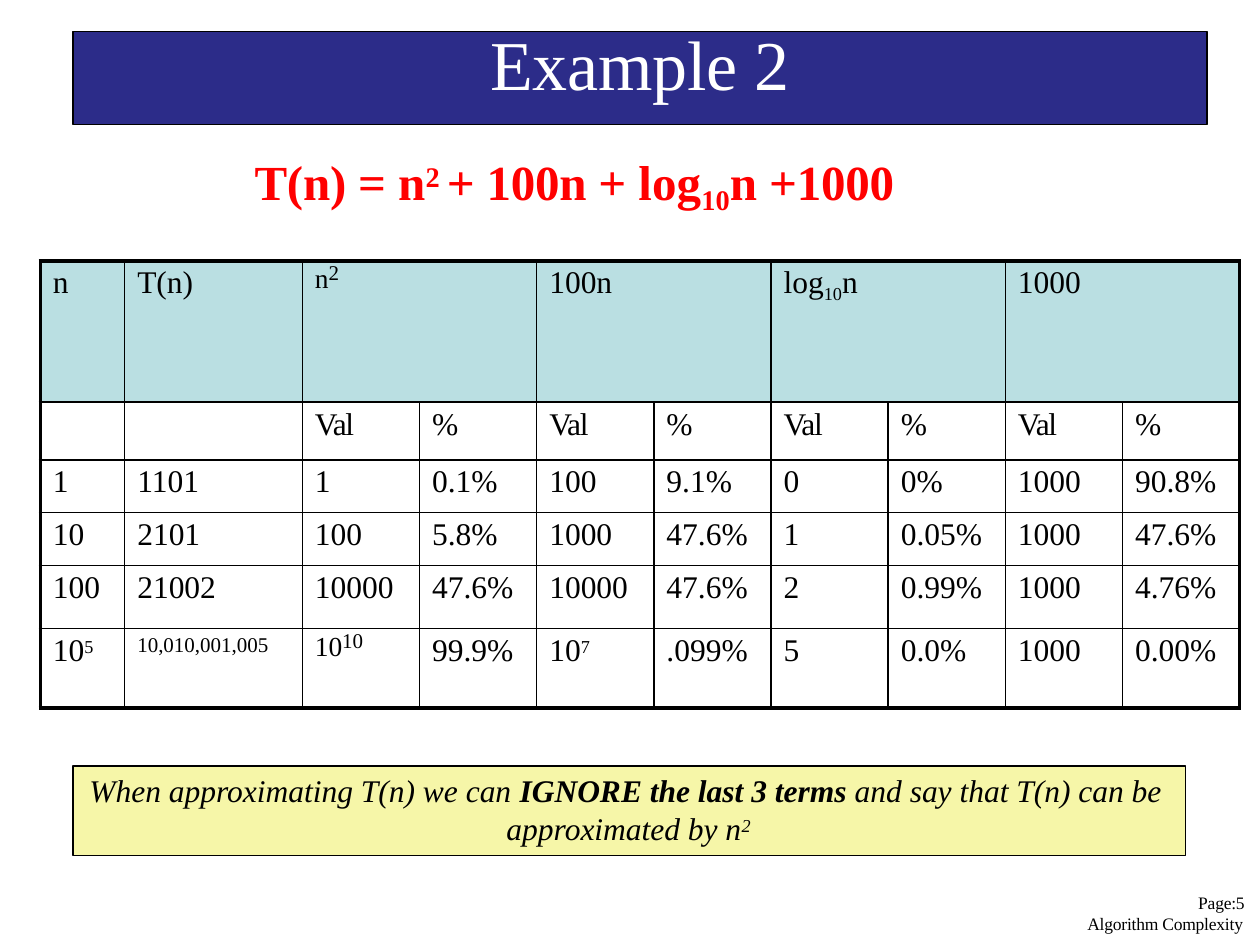
"""Build the slide that compares the growth of the terms of T(n)."""
from lxml import etree
from pptx import Presentation
from pptx.dml.color import RGBColor
from pptx.enum.shapes import MSO_SHAPE
from pptx.enum.text import MSO_ANCHOR, PP_ALIGN
from pptx.oxml.ns import qn
from pptx.util import Inches, Pt

RECTANGLE = MSO_SHAPE.RECTANGLE
TOP = MSO_ANCHOR.TOP
CENTER = PP_ALIGN.CENTER
FONT = "Times New Roman"
COLORS = {
    "black": "000000",
    "white": "FFFFFF",
    "navy": "2C2C89",
    "red": "FF0000",
    "aqua": "BADFE2",
    "yellow": "F6F6A8",
}
WIDTH, HEIGHT = Inches(10), Inches(7.5)
PERCENT_PLACES = {
    "title": (5.8, 3.33, 90, 9.87),
    "formula": (19.8, 15.87, 52.9, 6.53),
    "table": (3.2, 27.6, 95.2, 47.33),
    "conclusion": (5.8, 81.07, 88.3, 9.47),
    "footer": (86.2, 94.4, 13.2, 4.67),
}
PLACES = {
    name: [round(side * share / 100) for side, share in zip((WIDTH, HEIGHT) * 2, shares)]
    for name, shares in PERCENT_PLACES.items()
}


def write_runs(paragraph, runs, size=18, color="black", bold=False, italic=False):
    """Add (text, overrides) runs; overrides may hold size, bold, baseline, spacing."""
    for text, overrides in runs:
        run = paragraph.add_run()
        run.text = text
        run.font.name = FONT
        run.font.size = Pt(overrides.get("size", size))
        run.font.bold = overrides.get("bold", bold)
        run.font.italic = italic
        run.font.color.rgb = RGBColor.from_string(COLORS[color])
        properties = run.font._element
        if "baseline" in overrides:
            properties.set("baseline", str(overrides["baseline"] * 1000))
        if "spacing" in overrides:
            properties.set("spc", str(round(overrides["spacing"] * 100)))


def prepare_frame(shape, top_inset=0, margin=0, indent=0):
    """Reset the insets and return the first paragraph with its indents."""
    frame = shape.text_frame
    frame.word_wrap = True
    frame.vertical_anchor = TOP
    frame.margin_left = frame.margin_right = frame.margin_bottom = 0
    frame.margin_top = Inches(top_inset)
    properties = frame.paragraphs[0]._p.get_or_add_pPr()
    properties.set("marL", str(Inches(margin)))
    properties.set("indent", str(Inches(indent)))
    return frame.paragraphs[0]


presentation = Presentation()
presentation.slide_width, presentation.slide_height = WIDTH, HEIGHT
slide = presentation.slides.add_slide(presentation.slide_layouts[5])

footer = slide.shapes.add_textbox(*PLACES["footer"])
paragraph = prepare_frame(footer, margin=0.01, indent=0.88)
paragraph.line_spacing = Pt(12)
write_runs(paragraph, [("Page:5 Algorithm Complexity", {"spacing": -0.1})], size=10)

title = slide.shapes.title
title.left, title.top, title.width, title.height = PLACES["title"]
paragraph = prepare_frame(title)
paragraph.alignment = CENTER
paragraph.line_spacing = Pt(42)
write_runs(paragraph, [("Example 2", {"spacing": -0.1})], size=40, color="white")

formula = slide.shapes.add_textbox(*PLACES["formula"])
formula_runs = [
    ("T(n) = ", {"spacing": -0.1}),
    ("n", {"spacing": 0.1}),
    ("2 ", {"baseline": 26}),
    ("+ 100n + ", {"spacing": -0.1}),
    ("log", {"spacing": 0.1}),
    ("10", {"baseline": -21}),
    ("n ", {}),
    ("+1000", {"spacing": -0.1}),
]
write_runs(prepare_frame(formula, 0.01, 0.04), formula_runs, size=28, color="red", bold=True)

conclusion = slide.shapes.add_shape(RECTANGLE, *PLACES["conclusion"])
conclusion_runs = [
    ("When approximating T(n) we can ", {}),
    ("IGNORE the last 3 terms ", {"bold": True}),
    ("and say that T(n) can be approximated by n", {}),
    ("2", {"baseline": 25}),
]
write_runs(prepare_frame(conclusion, 0.04, 3.44, -3.31), conclusion_runs, italic=True)

for shape, color in ((title, "navy"), (conclusion, "yellow")):
    shape.fill.solid()
    shape.fill.fore_color.rgb = RGBColor.from_string(COLORS[color])
    shape.line.color.rgb = RGBColor.from_string(COLORS["black"])
    shape.line.width = Pt(0.75)
conclusion.shadow.inherit = False
conclusion.text_frame.paragraphs[0].alignment = PP_ALIGN.LEFT

COLUMN_WIDTHS = [0.67, 1.41] + [0.93] * 8
ROW_HEIGHTS = [1.12, 0.46, 0.42, 0.42, 0.5, 0.63]
LAST_ROW, LAST_COLUMN = len(ROW_HEIGHTS) - 1, len(COLUMN_WIDTHS) - 1
LOWERED, RAISED = {"size": 27, "baseline": -17}, {"size": 12}
rows = [
    ["n", "T(n)", [("n", LOWERED), ("2", RAISED)], "", "100n", "",
     [("log", {}), ("10", {"baseline": -21}), ("n", {})], "", "1000", ""],
    ["", ""] + [[("Val", {"spacing": -0.8})], "%"] * 4,
    ["1", "1101", "1", "0.1%", "100", "9.1%", "0", "0%", "1000", "90.8%"],
    ["10", "2101", "100", "5.8%", "1000", "47.6%", "1", "0.05%", "1000", "47.6%"],
    ["100", "21002", "10000", "47.6%", "10000", "47.6%", "2", "0.99%", "1000", "4.76%"],
    [[("10", {}), ("5", {"baseline": 25})], [("10,010,001,005", {"size": 12})],
     [("10", LOWERED), ("10", RAISED)], "99.9%", [("10", {}), ("7", {"baseline": 25})],
     ".099%", "5", "0.0%", "1000", "0.00%"],
]

table = slide.shapes.add_table(len(rows), len(COLUMN_WIDTHS), *PLACES["table"]).table
table.first_row = table.horz_banding = False
for column, width in zip(table.columns, COLUMN_WIDTHS):
    column.width = Inches(width)
for row, height in zip(table.rows, ROW_HEIGHTS):
    row.height = Inches(height)
for start in range(2, LAST_COLUMN, 2):
    table.cell(0, start).merge(table.cell(0, start + 1))

for row_index, contents in enumerate(rows):
    for column_index, content in enumerate(contents):
        cell = table.cell(row_index, column_index)
        lowered = isinstance(content, list) and content[0][1] is LOWERED
        cell.margin_left = Inches(0.1)
        cell.margin_right = cell.margin_bottom = 0
        cell.margin_top = 0 if lowered else Inches(0.04)
        paragraph = cell.text_frame.paragraphs[0]
        if lowered:
            paragraph.line_spacing = Pt(19.2)
        if content:
            write_runs(paragraph, content if isinstance(content, list) else [(content, {})])
        right_column = column_index + (cell.span_width - 1 if cell.is_merge_origin else 0)
        outer_edges = {
            "a:lnL": column_index == 0,
            "a:lnR": right_column == LAST_COLUMN,
            "a:lnT": row_index == 0,
            "a:lnB": row_index == LAST_ROW,
        }
        properties = cell._tc.get_or_add_tcPr()
        for tag, is_outer in outer_edges.items():
            border = etree.SubElement(properties, qn(tag), w=str(Pt(2.25 if is_outer else 1)))
            fill = etree.SubElement(border, qn("a:solidFill"))
            etree.SubElement(fill, qn("a:srgbClr"), val=COLORS["black"])
        if row_index == 0:
            cell.fill.solid()
            cell.fill.fore_color.rgb = RGBColor.from_string(COLORS["aqua"])
        else:
            cell.fill.background()

presentation.save("out.pptx")
